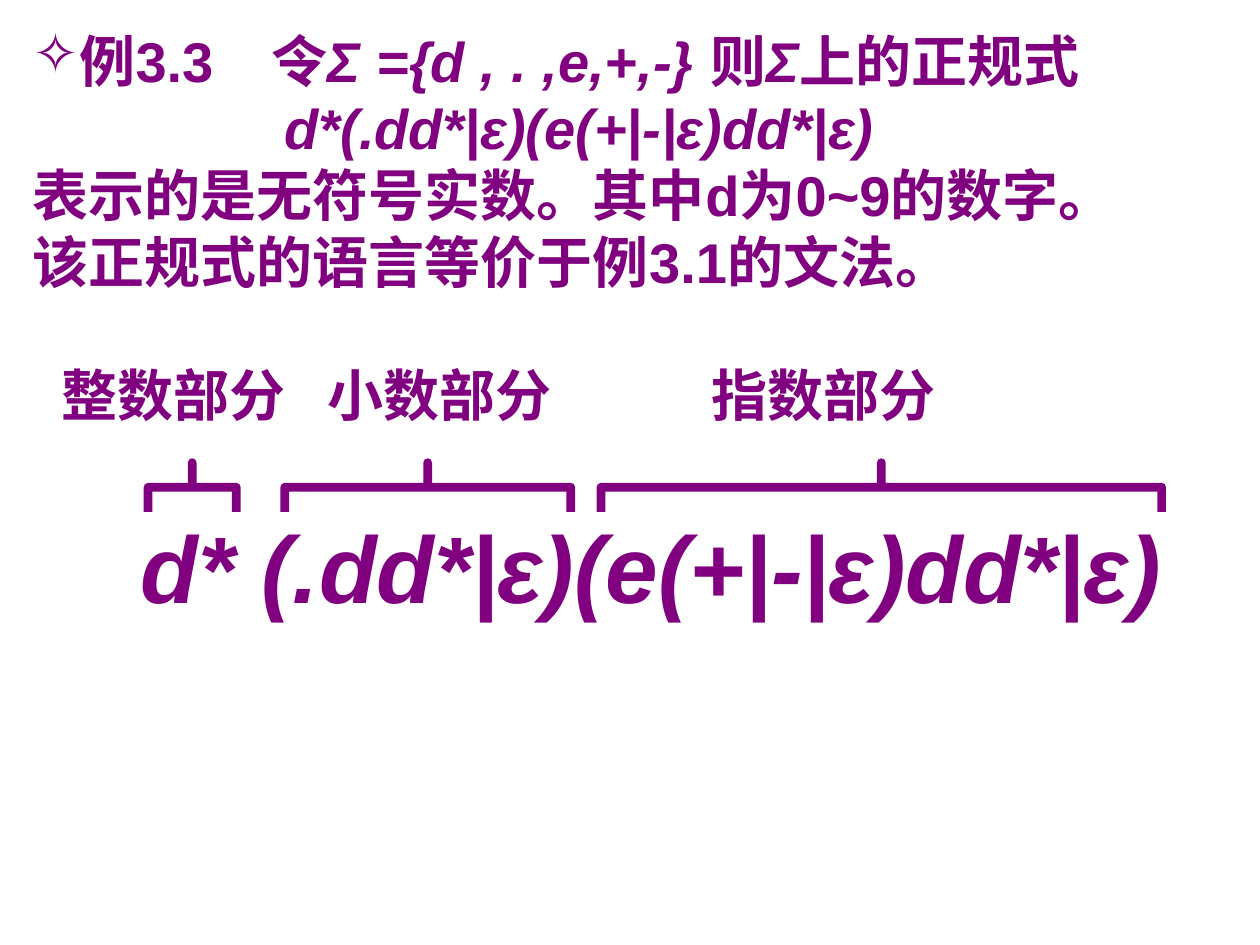
from typing import NamedTuple

from lxml.etree import SubElement
from pptx import Presentation
from pptx.dml.color import RGBColor
from pptx.enum.shapes import MSO_SHAPE
from pptx.enum.text import MSO_AUTO_SIZE
from pptx.oxml.ns import qn
from pptx.slide import Slide
from pptx.text.text import TextFrame, _Paragraph
from pptx.util import Pt

PURPLE = RGBColor(0x80, 0x00, 0x80)
FONT_NAME = "Arial"
BODY_SIZE = 32
FORMULA_SIZE = 54
LABEL_TOP, LABEL_WIDTH, LABEL_HEIGHT = 202.3, 144, 46
BRACE_MIDDLE, BRACE_DEPTH = 278.4, 28.1
FORMULA = "(.dd*|ε)(e(+|-|ε)dd*|ε)"


class Part(NamedTuple):
    label: str
    label_left: float
    brace_center: float
    brace_width: float


class Run(NamedTuple):
    text: str
    italic: bool = False


PARTS = [
    Part("整数部分", 28.1, 109.8, 50.4),
    Part("小数部分", 180, 244.4, 163.4),
    Part("指数部分", 399.6, 503.6, 320.4),
]
DEFINITION = [
    Run("例3.3\t令"),
    Run("Σ ={d , . ,e,+,-} ", True),
    Run("则"),
    Run("Σ", True),
    Run("上的正规式"),
]
EXPLANATION = [
    "表示的是无符号实数。其中d为0~9的数字。",
    "该正规式的语言等价于例3.1的文法。",
]


def add_text_frame(slide: Slide, left: float, top: float, width: float,
                   height: float, wrap: bool = True) -> TextFrame:
    shape = slide.shapes.add_textbox(Pt(left), Pt(top), Pt(width), Pt(height))
    shape.text_frame.word_wrap = wrap
    shape.text_frame.auto_size = MSO_AUTO_SIZE.SHAPE_TO_FIT_TEXT
    return shape.text_frame


def set_font(paragraph: _Paragraph, size: float = BODY_SIZE,
             italic: bool | None = None) -> None:
    font = paragraph.font
    font.name = FONT_NAME
    font.size = Pt(size)
    font.bold = True
    font.italic = italic
    font.color.rgb = PURPLE


def add_bullet_and_tab(paragraph: _Paragraph, bullet: str, tab: float) -> None:
    properties = paragraph._p.get_or_add_pPr()
    properties.set("marL", "0")
    properties.set("indent", "0")
    color = SubElement(properties, qn("a:buClr"))
    SubElement(color, qn("a:srgbClr"), val=str(PURPLE))
    SubElement(properties, qn("a:buChar"), char=bullet)
    tabs = SubElement(properties, qn("a:tabLst"))
    SubElement(tabs, qn("a:tab"), pos=str(Pt(tab)), algn="l")


def add_example(slide: Slide) -> None:
    frame = add_text_frame(slide, 11.5, 11.5, 708.5, 162.7)
    definition = frame.paragraphs[0]
    add_bullet_and_tab(definition, "✧", 136.8)
    set_font(definition)
    for text, italic in DEFINITION:
        run = definition.add_run()
        run.text = text
        run.font.italic = italic

    expression = frame.add_paragraph()
    expression.text = "d*" + FORMULA
    expression._p.get_or_add_pPr().set("marL", str(Pt(144)))
    set_font(expression, italic=True)

    for sentence in EXPLANATION:
        paragraph = frame.add_paragraph()
        paragraph.text = sentence
        set_font(paragraph)


def add_formula(slide: Slide) -> None:
    paragraph = add_text_frame(slide, 73.4, 287.3, 624.2, 72.7).paragraphs[0]
    paragraph.text = "d* " + FORMULA
    set_font(paragraph, FORMULA_SIZE, italic=True)


def add_part(slide: Slide, part: Part) -> None:
    """Draw a square bracket opening downwards and the label above it."""
    brace = slide.shapes.add_shape(
        MSO_SHAPE.LEFT_BRACE,
        Pt(part.brace_center - BRACE_DEPTH / 2),
        Pt(BRACE_MIDDLE - part.brace_width / 2),
        Pt(BRACE_DEPTH), Pt(part.brace_width))
    brace.rotation = 90
    brace.adjustments[0] = 0
    brace.adjustments[1] = 0.5
    brace.shadow.inherit = False
    brace.fill.background()
    brace.line.color.rgb = PURPLE
    brace.line.width = Pt(5)

    frame = add_text_frame(slide, part.label_left, LABEL_TOP,
                           LABEL_WIDTH, LABEL_HEIGHT, wrap=False)
    frame.paragraphs[0].text = part.label
    set_font(frame.paragraphs[0])


def main() -> None:
    presentation = Presentation()
    presentation.slide_width = Pt(720)
    presentation.slide_height = Pt(540)
    slide = presentation.slides.add_slide(presentation.slide_layouts[6])
    add_example(slide)
    add_formula(slide)
    for part in PARTS:
        add_part(slide, part)
    presentation.save("out.pptx")


if __name__ == "__main__":
    main()
